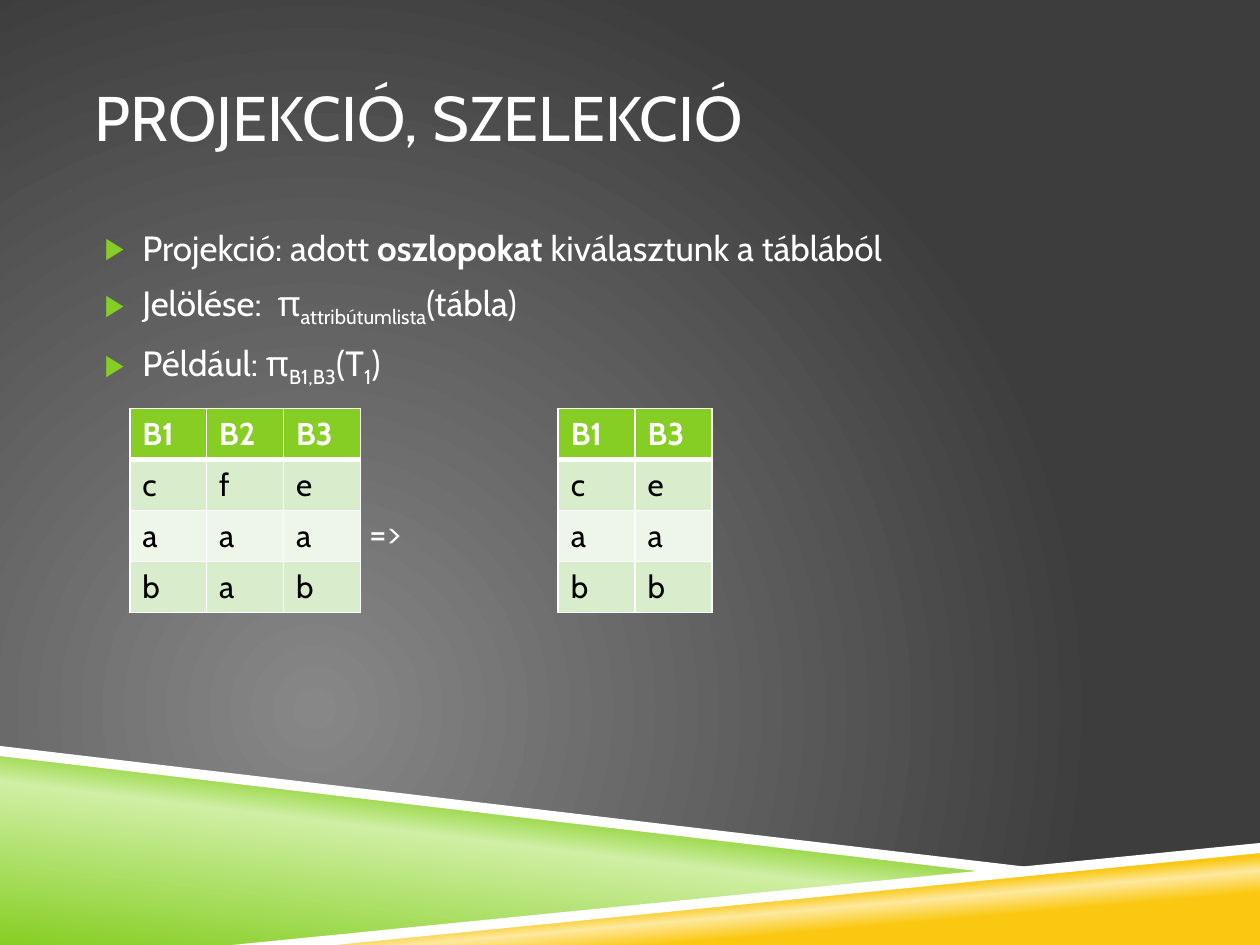
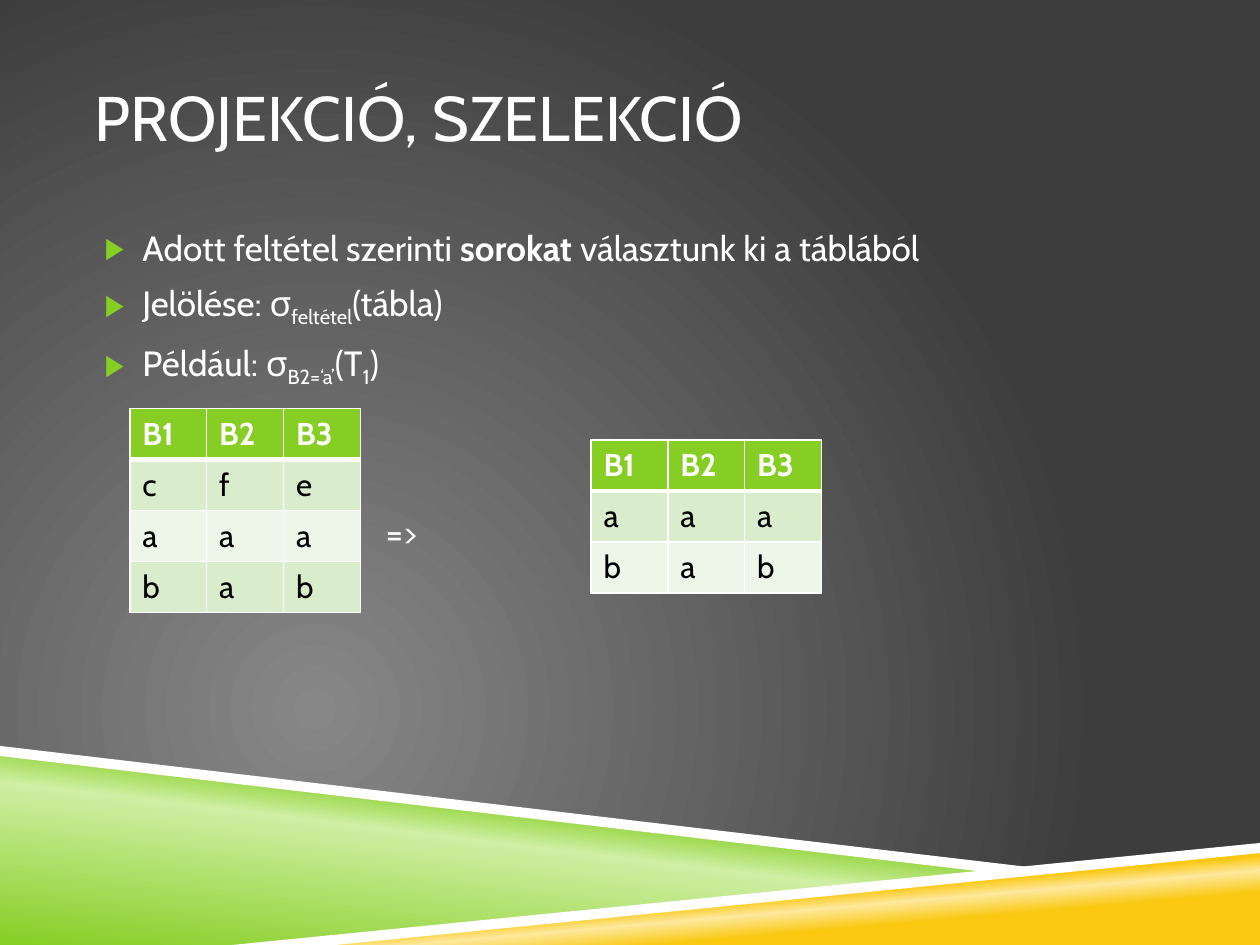
from lxml.etree import SubElement
from pptx import Presentation
from pptx.dml.color import RGBColor
from pptx.enum.text import MSO_ANCHOR as Anchor, MSO_AUTO_SIZE as AutoSize, PP_ALIGN as Align
from pptx.oxml.ns import qn
from pptx.util import Inches, Pt

# Shared look
FONT = "Cabin"
WHITE, BLACK = "FFFFFF", "000000"
GREEN, LIGHT_GREEN = "86CE24", "CFEFA4"
YELLOW, LIGHT_YELLOW = "FAC810", "FDE99F"
ROW_FILLS = ("D9EDCD", "EDF6E8")
BACKGROUND_STOPS = [(0, "878787"), (100, "3D3D3D")]
COLUMN_WIDTH, ROW_HEIGHT = 0.61, 0.4

# Points of each band, its fill colour or gradient stops, and the gradient angle
BANDS = [
    ([(0, 5.97), (7.92, 6.92), (2, 7.5), (0, 7.5)],
     [(0, GREEN), (52, LIGHT_GREEN), (66, GREEN)], 277),
    ([(1.98, 7.5), (10, 6.72), (10, 7.5)],
     [(28, YELLOW), (40, LIGHT_YELLOW), (48, YELLOW)], 265),
    ([(0, 5.92), (0, 6), (7.9, 6.93), (8.32, 6.9)], WHITE, None),
    ([(10, 6.69), (1.84, 7.5), (2.66, 7.5), (10, 6.77)], WHITE, None),
]

TITLE = "PROJEKCIÓ, SZELEKCIÓ"
SOURCE_ROWS = ["B1 B2 B3", "c f e", "a a a", "b a b"]
BOLD, SUB = {"bold": True}, {"subscript": True}


def color(hex_value):
    return RGBColor.from_string(hex_value)


def add_xml(parent, tag, **attributes):
    return SubElement(parent, qn(tag), {key: str(value) for key, value in attributes.items()})


def add_text(paragraph, text, *, size=20, fill=WHITE, bold=False, subscript=False):
    run = paragraph.add_run()
    run.text = text
    font = run.font
    font.name, font.size, font.bold = FONT, Pt(size), bold
    font.color.rgb = color(fill)
    if subscript:
        font._element.set("baseline", "-25000")


def set_gradient(owner, fill, stops, angle=None):
    """Linear at the given angle, or circular around the lower left."""
    fill.gradient()
    gradient = next(owner.element.iter(qn("a:gradFill")))
    for child in list(gradient):
        gradient.remove(child)
    stop_list = add_xml(gradient, "a:gsLst")
    for position, hex_value in stops:
        stop = add_xml(stop_list, "a:gs", pos=position * 1000)
        add_xml(stop, "a:srgbClr", val=hex_value)
    if angle is None:
        circle = add_xml(gradient, "a:path", path="circle")
        add_xml(circle, "a:fillToRect", l=50000, t=100000, r=100000, b=50000)
    else:
        add_xml(gradient, "a:lin", ang=angle * 60000, scaled=0)


def add_band(slide, points, fill, angle):
    corners = [(Inches(x), Inches(y)) for x, y in points]
    builder = slide.shapes.build_freeform(*corners[0])
    builder.add_line_segments(corners[1:], close=True)
    shape = builder.convert_to_shape()
    shape.shadow.inherit = False
    shape.line.fill.background()
    if angle is None:
        shape.fill.solid()
        shape.fill.fore_color.rgb = color(fill)
    else:
        set_gradient(shape, shape.fill, fill, angle)
    return shape


def decorate_layout(layout, slide):
    """Draw the bands on a slide, then move them behind the layout's placeholders."""
    set_gradient(layout, layout.background.fill, BACKGROUND_STOPS)
    for index, band in enumerate(BANDS):
        shape = add_band(slide, *band)
        layout.shapes.element.insert(2 + index, shape.element)


def place_frame(placeholder, top, height, anchor):
    placeholder.left, placeholder.top = Inches(0.75), Inches(top)
    placeholder.width, placeholder.height = Inches(8.5), Inches(height)
    frame = placeholder.text_frame
    frame.margin_left = frame.margin_right = 0
    frame.margin_top = frame.margin_bottom = Inches(0.05)
    frame.vertical_anchor = anchor
    frame.word_wrap = True
    frame.auto_size = AutoSize.NONE
    return frame


def format_paragraph(paragraph, *, left, hanging=0, before=7, bullet=None):
    paragraph.alignment = Align.LEFT
    paragraph.space_before = Pt(before)
    properties = paragraph._p.get_or_add_pPr()
    properties.set("marL", str(Inches(left)))
    properties.set("indent", str(-Inches(hanging)))
    if bullet:
        bullet_color = add_xml(properties, "a:buClr")
        add_xml(bullet_color, "a:srgbClr", val=GREEN)
        add_xml(properties, "a:buSzPct", val=85000)
        add_xml(properties, "a:buChar", char=bullet)
    else:
        add_xml(properties, "a:buNone")


def add_body(slide, lines, arrow_indent):
    frame = place_frame(slide.placeholders[1], 1.75, 4.08, Anchor.TOP)
    for index, line in enumerate(lines):
        paragraph = frame.add_paragraph() if index else frame.paragraphs[0]
        format_paragraph(paragraph, left=0.38, hanging=0.3, bullet="▶")
        for text, style in line:
            add_text(paragraph, text, **style)
    # The arrow stands between the two tables
    arrow = frame.add_paragraph()
    format_paragraph(arrow, left=arrow_indent, before=70)
    add_text(arrow, "=>")


def set_borders(cell, top, bottom):
    properties = cell._tc.get_or_add_tcPr()
    for tag, width in (("a:lnL", 1), ("a:lnR", 1), ("a:lnT", top), ("a:lnB", bottom)):
        line = add_xml(properties, tag, w=Pt(width))
        line_fill = add_xml(line, "a:solidFill")
        add_xml(line_fill, "a:srgbClr", val=WHITE)


def add_relation(slide, left, top, rows):
    """Table with a green header and banded rows; cells are split at spaces."""
    cells = [row.split() for row in rows]
    row_count, column_count = len(cells), len(cells[0])
    table = slide.shapes.add_table(
        row_count, column_count, Inches(left), Inches(top),
        Inches(COLUMN_WIDTH * column_count), Inches(ROW_HEIGHT * row_count)).table
    for column in table.columns:
        column.width = Inches(COLUMN_WIDTH)
    for row_index, row in enumerate(cells):
        header = row_index == 0
        for column_index, text in enumerate(row):
            cell = table.cell(row_index, column_index)
            set_borders(cell, top=3 if row_index == 1 else 1, bottom=3 if header else 1)
            cell.fill.solid()
            cell.fill.fore_color.rgb = color(GREEN if header else ROW_FILLS[(row_index - 1) % 2])
            add_text(cell.text_frame.paragraphs[0], text, size=18,
                     fill=WHITE if header else BLACK, bold=header)


def fill_slide(slide, lines, arrow_indent, result_left, result_top, result_rows):
    title = place_frame(slide.shapes.title, 0.3, 1.25, Anchor.MIDDLE).paragraphs[0]
    title.alignment = Align.LEFT
    add_text(title, TITLE, size=36)
    add_body(slide, lines, arrow_indent)
    add_relation(slide, 1.03, 3.24, SOURCE_ROWS)
    add_relation(slide, result_left, result_top, result_rows)


def main():
    presentation = Presentation()
    presentation.slide_width, presentation.slide_height = Inches(10), Inches(7.5)
    layout = presentation.slide_layouts[1]
    projection, selection = [presentation.slides.add_slide(layout) for _ in range(2)]
    decorate_layout(layout, projection)

    # Projection: choosing columns
    fill_slide(projection, [
        [("Projekció: adott ", {}), ("oszlopokat ", BOLD), ("kiválasztunk a táblából", {})],
        [("Jelölése:  π", {}), ("attribútumlista", SUB), ("(tábla)", {})],
        [("Például: π", {}), ("B1,B3", SUB), ("(T", {}), ("1", SUB), (")", {})],
    ], 2.18, 4.43, 3.24, ["B1 B3", "c e", "a a", "b b"])

    # Selection: choosing rows
    fill_slide(selection, [
        [("Adott feltétel szerinti ", {}), ("sorokat ", BOLD), ("választunk ki a táblából", {})],
        [("Jelölése: σ", {}), ("feltétel", SUB), ("(tábla)", {})],
        [("Például: σ", {}), ("B2=‘a’", SUB), ("(T", {}), ("1", SUB), (")", {})],
    ], 2.31, 4.69, 3.49, ["B1 B2 B3", "a a a", "b a b"])

    presentation.save("out.pptx")


main()
